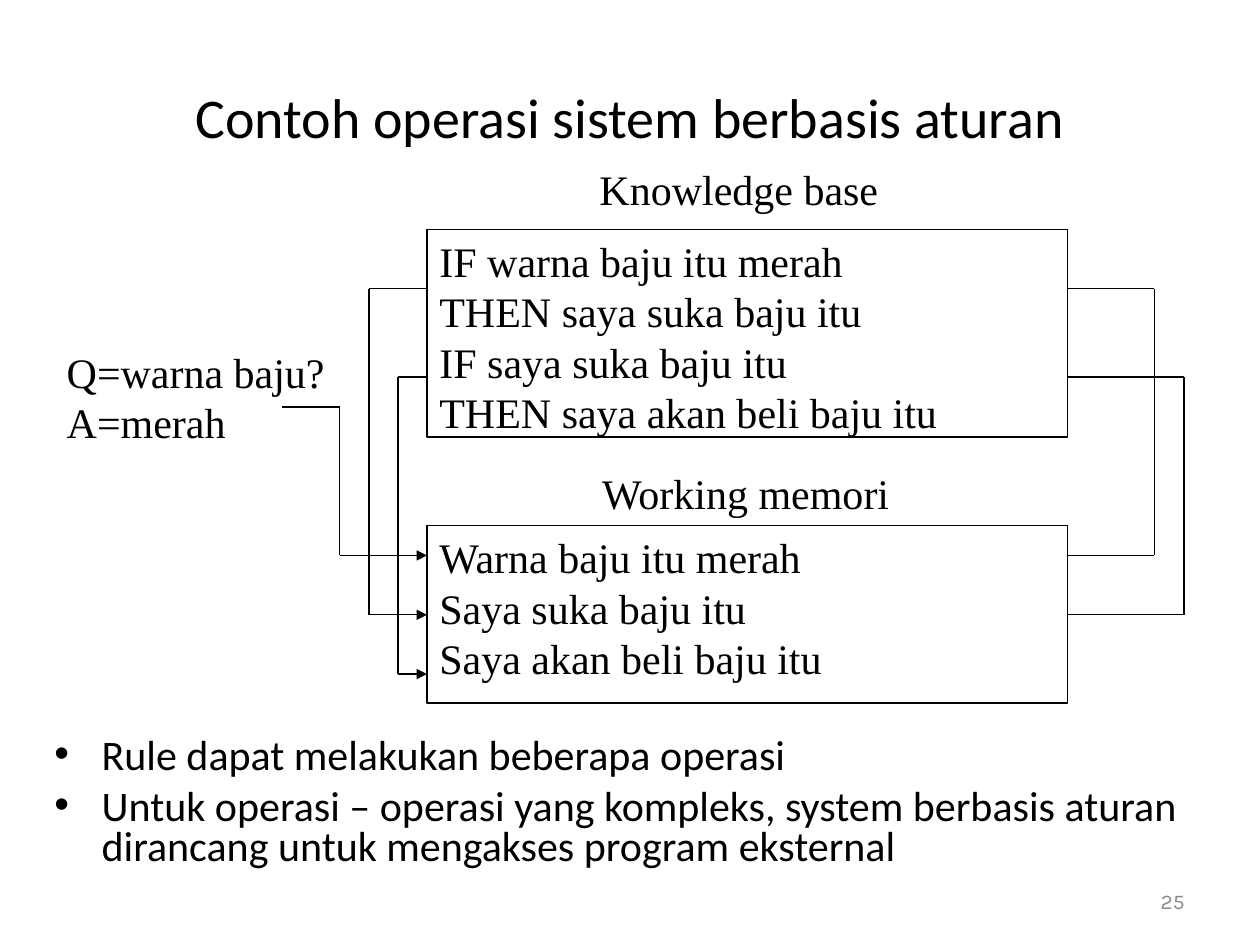
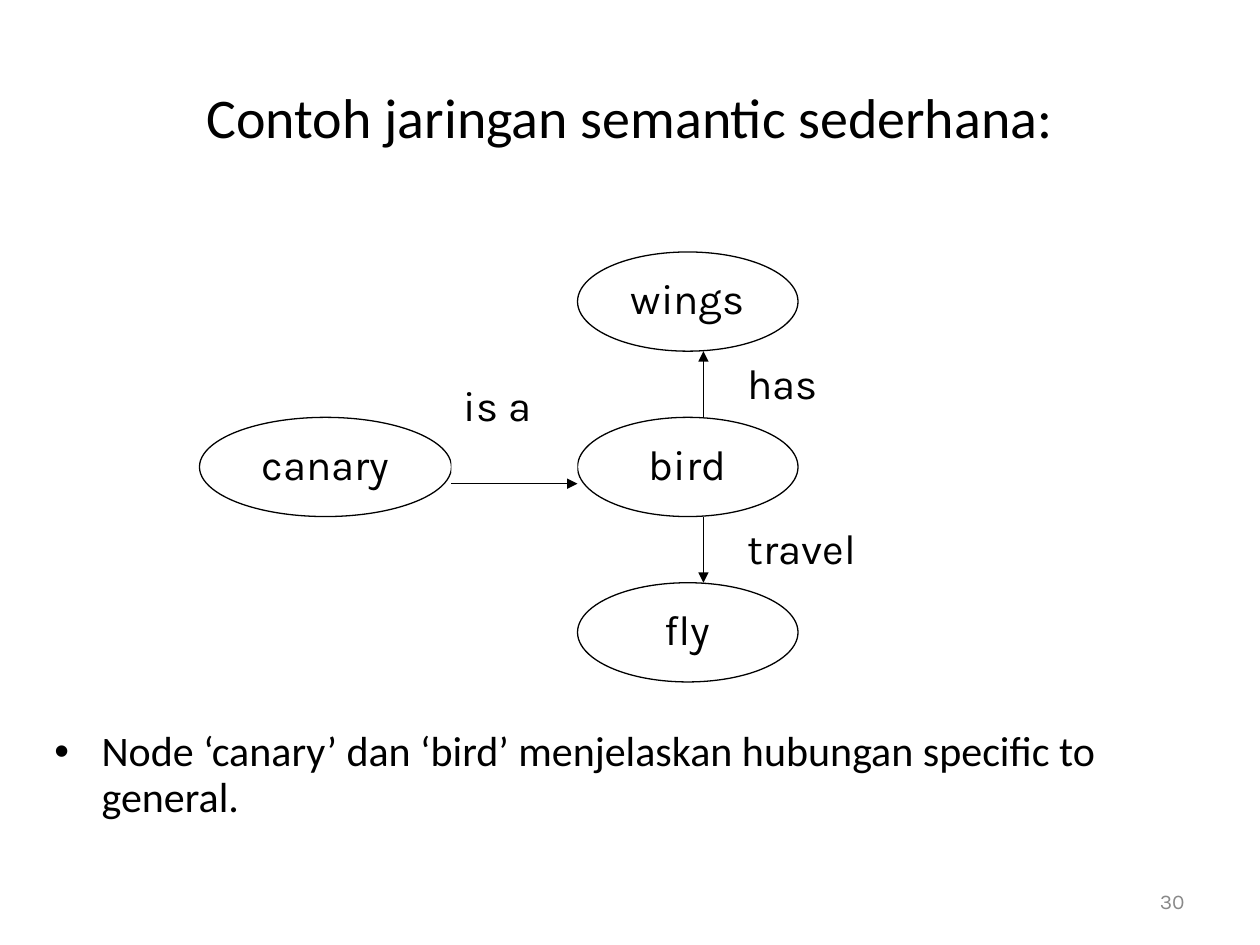
from itertools import pairwise
from typing import NamedTuple

from lxml import etree
from pptx import Presentation
from pptx.dml.color import RGBColor
from pptx.enum import shapes as es, text as et
from pptx.oxml import ns
from pptx.util import Pt

# Shared style
BLACK = RGBColor(0x00, 0x00, 0x00)
WHITE = RGBColor(0xFF, 0xFF, 0xFF)
GREY = RGBColor(0x89, 0x89, 0x89)
SANS, SERIF, NOTE = "Calibri", "Times New Roman", "Karla"
RECT, OVAL = es.MSO_SHAPE.RECTANGLE, es.MSO_SHAPE.OVAL
LEFT, MID, RIGHT = et.PP_ALIGN.LEFT, et.PP_ALIGN.CENTER, et.PP_ALIGN.RIGHT
TOP, CENTRE = et.MSO_ANCHOR.TOP, et.MSO_ANCHOR.MIDDLE
HAIR = 0.75
INDENT = 27


class Area(NamedTuple):
    x: float
    y: float
    w: float
    h: float


class Style(NamedTuple):
    font: str
    size: float = 24
    color: RGBColor = BLACK
    align: et.PP_ALIGN = LEFT
    anchor: et.MSO_ANCHOR = TOP


class Block(NamedTuple):
    area: Area
    lines: list[str]
    kind: es.MSO_SHAPE | None = None  # None draws a plain text box
    edge: bool = True


class Route(NamedTuple):
    points: list[tuple[float, float]]
    arrow: bool = True


TITLE = Style(SANS, 32, align=MID, anchor=CENTRE)
NUMBER = Style(NOTE, 12, GREY, RIGHT, CENTRE)
BODY, RULE = Style(SANS), Style(SERIF)
NODE, LABEL = Style(NOTE, align=MID), Style(NOTE)


def write(shape, lines: list[str], style: Style) -> list:
    frame = shape.text_frame
    frame.word_wrap = True
    frame.vertical_anchor = style.anchor
    paras = []
    for i, line in enumerate(lines):
        para = frame.add_paragraph() if i else frame.paragraphs[0]
        para.alignment = style.align
        run = para.add_run()
        run.text = line
        run.font.name = style.font
        run.font.size = Pt(style.size)
        run.font.color.rgb = style.color
        paras.append(para)
    return paras


def draw(slide, block: Block, style: Style) -> list:
    place = [Pt(v) for v in block.area]
    if block.kind is None:
        shape = slide.shapes.add_textbox(*place)
    else:
        shape = slide.shapes.add_shape(block.kind, *place)
        shape.shadow.inherit = False
        shape.fill.solid()
        shape.fill.fore_color.rgb = WHITE
        if block.edge:
            shape.line.color.rgb = BLACK
            shape.line.width = Pt(HAIR)
        else:
            shape.line.fill.background()
    return write(shape, block.lines, style)


def trace(slide, route: Route) -> None:
    """Draw straight legs from point to point, with the arrow on the last."""
    legs = list(pairwise(route.points))
    for i, (start, end) in enumerate(legs):
        line = slide.shapes.add_connector(
            es.MSO_CONNECTOR.STRAIGHT, *[Pt(v) for v in start + end])
        line.line.color.rgb = BLACK
        line.line.width = Pt(HAIR)
        if route.arrow and i == len(legs) - 1:
            etree.SubElement(line.line._get_or_add_ln(),
                             ns.qn("a:tailEnd"), type="triangle")
        etree.SubElement(line._element.spPr, ns.qn("a:effectLst"))


def list_out(slide, area: Area, lines: list[str], space: float) -> None:
    for i, para in enumerate(draw(slide, Block(area, lines), BODY)):
        props = para._p.get_or_add_pPr()
        props.set("marL", str(Pt(INDENT)))
        props.set("indent", str(-Pt(INDENT)))
        etree.SubElement(props, ns.qn("a:buFont"), typeface="Arial")
        etree.SubElement(props, ns.qn("a:buChar"), char="•")
        para.line_spacing = space
        if i:
            para.space_before = Pt(6)


def start(deck, title: str, number: int):
    slide = deck.slides.add_slide(deck.slide_layouts[6])
    draw(slide, Block(Area(36, 21.6, 648, 90), [title]), TITLE)
    draw(slide, Block(Area(516, 500.4, 168, 28.8), [str(number)]), NUMBER)
    return slide


def rules(deck) -> None:
    slide = start(deck, "Contoh operasi sistem berbasis aturan", 25)
    list_out(slide, Area(24, 418.3, 681, 87), [
        "Rule dapat melakukan beberapa operasi",
        "Untuk operasi – operasi yang kompleks, system berbasis aturan "
        "dirancang untuk mengakses program eksternal"], 0.8)

    # Knowledge base and working memory
    left, width = 244, 366
    right = left + width
    for block in (
        Block(Area(left, 131, width, 118.8), [
            "IF warna baju itu merah", "THEN saya suka baju itu",
            "IF saya suka baju itu", "THEN saya akan beli baju itu"], RECT),
        Block(Area(left, 300.3, width, 101.5), [
            "Warna baju itu merah", "Saya suka baju itu",
            "Saya akan beli baju itu"], RECT),
    ):
        draw(slide, block, RULE)

    # Routes between the rules and the facts
    first, second, answer = 165, 215.4, 232.6
    facts = [317.4 + 33.9 * i for i in range(3)]
    lanes = [left - 16.6 * i for i in (3, 2, 1)]
    starts = [(161.3, answer), (left, first), (left, second)]
    for (x, y), lane, fact in zip(starts, lanes, facts):
        trace(slide, Route([(x, y), (lane, y), (lane, fact), (left, fact)]))
    for y, lane, fact in zip((first, second), (659.6, 676.6), facts):
        trace(slide, Route([(right, y), (lane, y), (lane, fact),
                            (right, fact)], arrow=False))

    # Question and headings
    for block in (
        Block(Area(31, 194.4, 166.3, 67.7), ["Q=warna baju?", "A=merah"]),
        Block(Area(335.5, 90, 216, 51), ["Knowledge base"]),
        Block(Area(337, 263.5, 216, 51), ["Working memori"]),
    ):
        draw(slide, block, RULE)


def network(deck) -> None:
    slide = start(deck, "Contoh jaringan semantic sederhana:", 30)
    list_out(slide, Area(24, 414, 681, 69), [
        "Node ‘canary’ dan ‘bird’ menjelaskan hubungan "
        "specific to general."], 0.9)

    # Nodes
    high, col, wide = 56.7, 330, 126
    rows = [144 + 94.5 * i for i in range(3)]
    draw(slide, Block(Area(114, rows[1], 144, high), ["canary"], OVAL), NODE)
    for y, name in zip(rows, ("wings", "bird", "fly")):
        draw(slide, Block(Area(col, y, wide, high), [name], OVAL), NODE)

    # Arrows
    stem, flat = 402, 276.4
    for points in (
        [(258, flat), (col, flat)],
        [(stem, rows[1]), (stem, rows[0] + high)],
        [(stem, rows[1] + high), (stem, rows[2])],
    ):
        trace(slide, Route(points))

    # Relation labels
    gap = rows[1] - rows[0] - high
    for area, name in (
        (Area(258, 213.2, 72, high), "is a"),
        (Area(420, rows[0] + high, 72, gap), "has"),
        (Area(420, rows[1] + high, 108, gap), "travel"),
    ):
        draw(slide, Block(area, [name], RECT, edge=False), LABEL)


def main() -> None:
    deck = Presentation()
    deck.slide_width, deck.slide_height = Pt(720), Pt(540)
    rules(deck)
    network(deck)
    deck.save("out.pptx")


if __name__ == "__main__":
    main()
